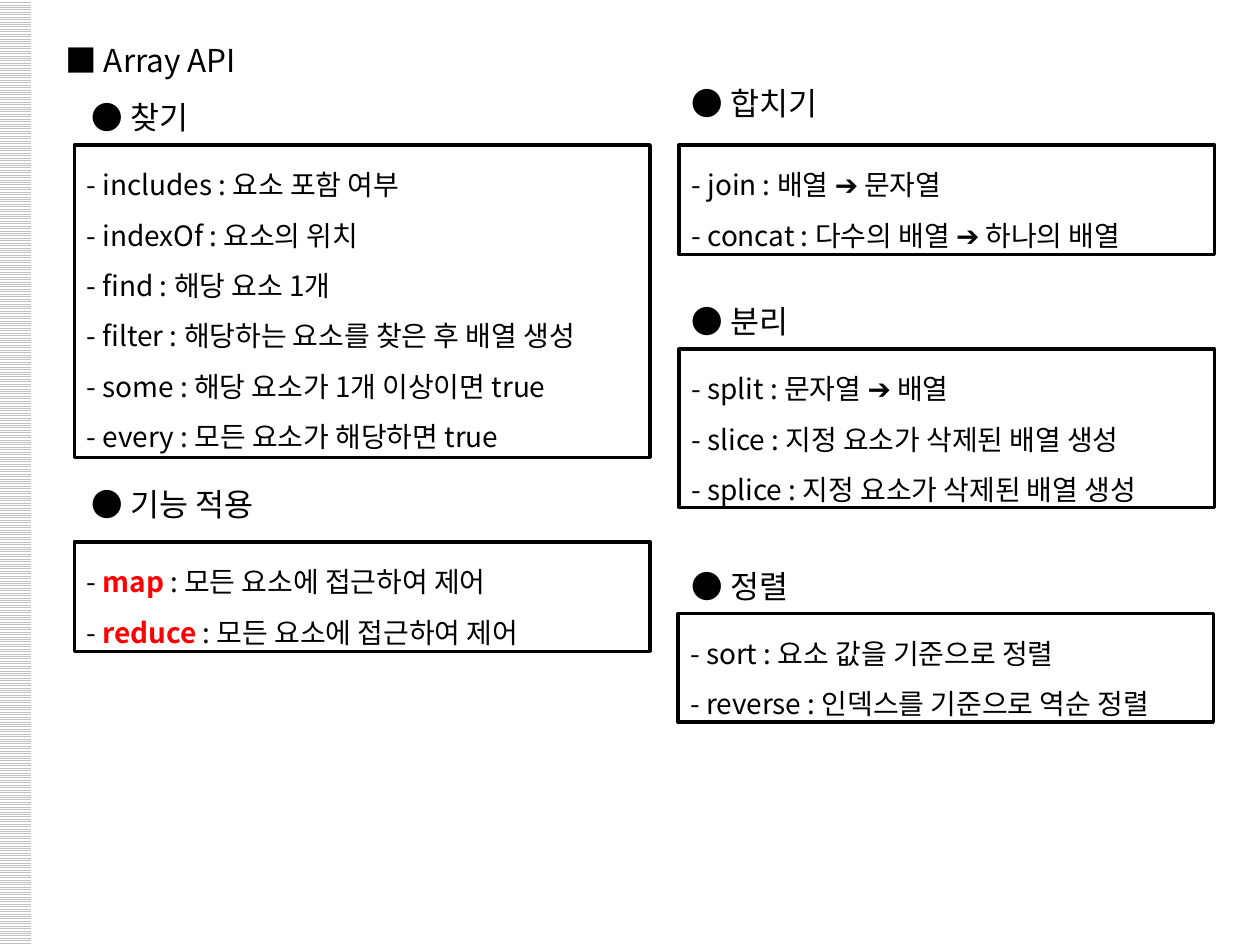
from lxml.etree import SubElement
from pptx import Presentation
from pptx.dml.color import RGBColor
from pptx.enum.dml import MSO_PATTERN
from pptx.enum.shapes import MSO_SHAPE
from pptx.enum.text import MSO_ANCHOR, MSO_AUTO_SIZE, PP_ALIGN
from pptx.oxml.ns import qn
from pptx.util import Inches, Pt

FONT = "Noto Sans CJK KR"
HUES = {name: RGBColor.from_string(code) for name, code in {
    "ink": "000000", "paper": "FFFFFF", "key": "FF0000", "stripe": "C0C0C0"}.items()}
LEFT, RIGHT = 0.59, 5.39  # column edges
WIDE, SLIM = 4.57, 4.25   # column widths

deck = Presentation()
deck.slide_width, deck.slide_height = Inches(10), Inches(7.5)
slide = deck.slides.add_slide(deck.slide_layouts[6])
shapes = slide.shapes


def write(shape, lines, size, space, wrap=True):
    """Fill a shape with lines, each a list of (text, is key word) parts."""
    frame = shape.text_frame
    look = {"word_wrap": wrap, "auto_size": MSO_AUTO_SIZE.SHAPE_TO_FIT_TEXT,
            "vertical_anchor": MSO_ANCHOR.TOP}
    for name, value in look.items():
        setattr(frame, name, value)
    for i, parts in enumerate(lines):
        para = frame.add_paragraph() if i else frame.paragraphs[0]
        para.alignment, para.line_spacing = PP_ALIGN.LEFT, space
        for text, key in parts:
            run = para.add_run()
            run.text = text
            for name, value in {"size": Pt(size), "name": FONT, "bold": key}.items():
                setattr(run.font, name, value)
            run.font.color.rgb = HUES["key" if key else "ink"]
            SubElement(run.font._element, qn("a:ea"), typeface=FONT)


def place(kind, left, top, width, height):
    spot = [Inches(n) for n in (left, top, width, height)]
    if kind == "text":
        return shapes.add_textbox(*spot)
    shape = shapes.add_shape(MSO_SHAPE.RECTANGLE, *spot)
    shape.shadow.inherit = False
    return shape


# Striped left edge
edge = place("box", -0.01, 0, 0.26, 7.5)
edge.line.fill.background()
edge.fill.patterned()
edge.fill.pattern = MSO_PATTERN.LIGHT_HORIZONTAL
edge.fill.fore_color.rgb = HUES["stripe"]
edge.fill.back_color.rgb = HUES["paper"]

write(place("text", 0.42, 0.13, 1.61, 0.5), [[("■ Array API", False)]], 18, 1.5, False)

# Boxes: left, top, width, height, then (method, meaning, is key word)
boxes = [
    (LEFT, 1.15, WIDE, 2.48, [
        ("includes", "요소 포함 여부", False),
        ("indexOf", "요소의 위치", False),
        ("find", "해당 요소 1개", False),
        ("filter", "해당하는 요소를 찾은 후 배열 생성", False),
        ("some", "해당 요소가 1개 이상이면 true", False),
        ("every", "모든 요소가 해당하면 true", False)]),
    (RIGHT, 1.15, SLIM, 0.87, [
        ("join", "배열 ➔ 문자열", False),
        ("concat", "다수의 배열 ➔ 하나의 배열", False)]),
    (RIGHT, 2.77, SLIM, 1.26, [
        ("split", "문자열 ➔ 배열", False),
        ("slice", "지정 요소가 삭제된 배열 생성", False),
        ("splice", "지정 요소가 삭제된 배열 생성", False)]),
    (LEFT, 4.3, WIDE, 0.87, [
        ("map", "모든 요소에 접근하여 제어", True),
        ("reduce", "모든 요소에 접근하여 제어", True)]),
    (RIGHT - 0.01, 4.87, SLIM, 0.86, [
        ("sort", "요소 값을 기준으로 정렬", False),
        ("reverse", "인덱스를 기준으로 역순 정렬", False)]),
]
for *spot, rows in boxes:
    box = place("box", *spot)
    box.fill.solid()
    box.fill.fore_color.rgb = HUES["paper"]
    box.line.color.rgb = HUES["ink"]
    box.line.width = Pt(2)
    lines = [[("- ", False), (name, True), (f" : {note}", False)] if key
             else [(f"- {name} : {note}", False)] for name, note, key in rows]
    write(box, lines, 16, 1.5)

# Headings: text, left, top, width, line spacing
heads = [
    ("찾기", LEFT + 0.04, 0.58, 1.14, 1.5),
    ("기능 적용", LEFT + 0.04, 3.8, 1.65, 1),
    ("합치기", RIGHT, 0.62, 1.41, 1),
    ("분리", RIGHT, 2.2, 1.56, 1.5),
    ("정렬", RIGHT, 4.3, 1.19, 1.5),
]
for text, left, top, width, space in heads:
    head = place("text", left, top, width, 0.5 if space > 1 else 0.4)
    write(head, [[(f"● {text}", False)]], 18, space)

deck.save("out.pptx")
